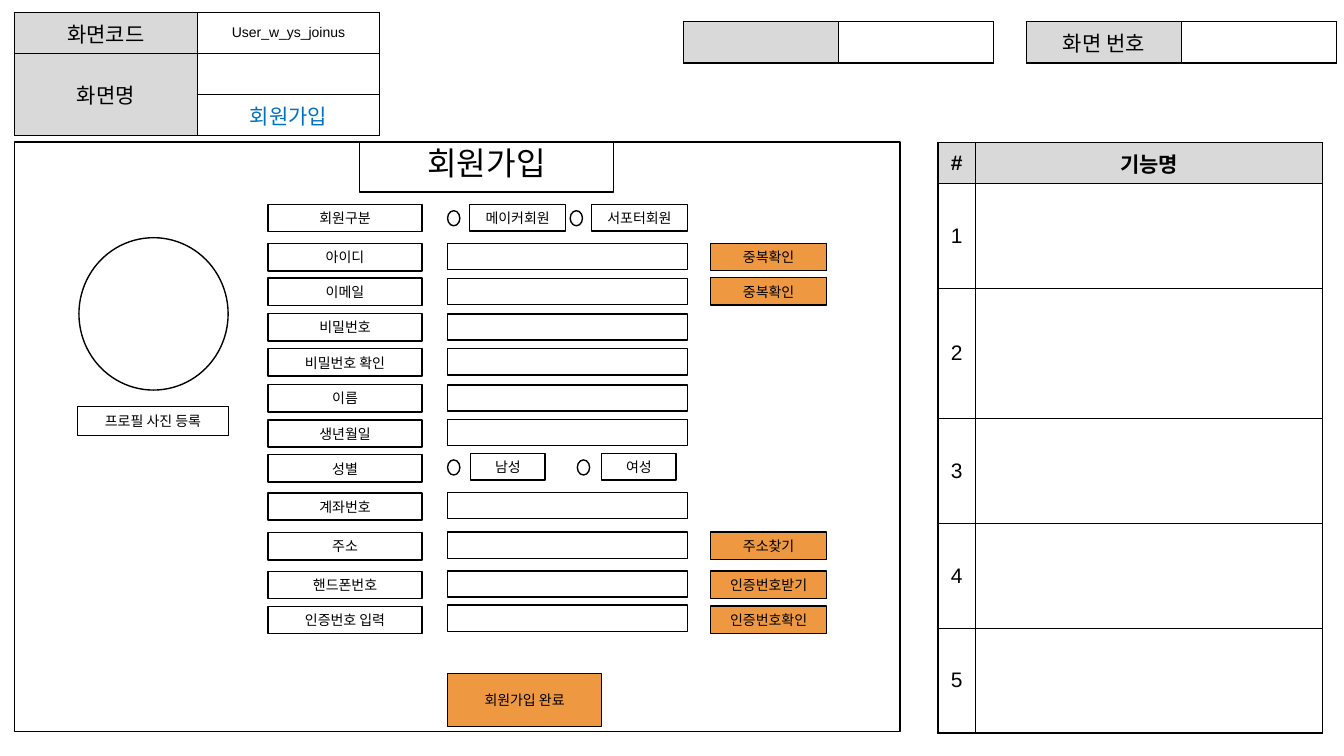
import pptx
import pptx.util
import pptx.dml.color
import pptx.enum.shapes
import pptx.enum.text
import pptx.oxml
import pptx.oxml.ns

Cm = pptx.util.Cm
Pt = pptx.util.Pt
RGB = pptx.dml.color.RGBColor
KIND = pptx.enum.shapes.MSO_SHAPE
MIDDLE = pptx.enum.text.MSO_ANCHOR.MIDDLE
TOP = pptx.enum.text.MSO_ANCHOR.TOP
CENTER = pptx.enum.text.PP_ALIGN.CENTER

BLACK = RGB(0x00, 0x00, 0x00)
WHITE = RGB(0xFF, 0xFF, 0xFF)
GRAY = RGB(0xD9, 0xD9, 0xD9)
BLUE = RGB(0x00, 0x70, 0xC0)
ORANGE = RGB(0xEE, 0x98, 0x42)

LABEL_X, FIELD_X, BUTTON_X = 6.75, 11.28, 17.91
BOX_H = 0.69
FRAME = 8.33

# label, label top, field top (None for a choice row), button text
ROWS = [
    ("회원구분", 5.15, None, ""),
    ("아이디", 6.14, 6.14, "중복확인"),
    ("이메일", 7.01, 7.02, "중복확인"),
    ("비밀번호", 7.9, 7.91, ""),
    ("비밀번호 확인", 8.79, 8.79, ""),
    ("이름", 9.69, 9.7, ""),
    ("생년월일", 10.58, 10.57, ""),
    ("성별", 11.46, None, ""),
    ("계좌번호", 12.42, 12.41, ""),
    ("주소", 13.42, 13.41, "주소찾기"),
    ("핸드폰번호", 14.4, 14.39, "인증번호받기"),
    ("인증번호 입력", 15.28, 15.25, "인증번호확인"),
]

# text, radio left, box left, box top, box width
CHOICES = [
    ("메이커회원", 11.28, 11.84, 5.15, 2.41),
    ("서포터회원", 14.37, 14.91, 5.15, 2.41),
    ("남성", 11.28, 11.86, 11.43, 1.88),
    ("여성", 14.55, 15.16, 11.43, 1.88),
]


def write(frame, text, size, color=BLACK, bold=False):
    """Put one centred line of text in a frame."""
    para = frame.paragraphs[0]
    para.text = text
    para.alignment = CENTER
    for run in para.runs:
        font = run.font
        font.name = "Arial"
        font.size = Pt(size)
        font.bold = bold
        font.color.rgb = color


def add_box(slide, x, y, w, h, text="", fill=WHITE, line=1, size=10,
            kind=KIND.RECTANGLE):
    box = slide.shapes.add_shape(kind, Cm(x), Cm(y), Cm(w), Cm(h))
    box.shadow.inherit = False
    box.fill.solid()
    box.fill.fore_color.rgb = fill
    box.line.color.rgb = BLACK
    box.line.width = Pt(line)
    if text:
        frame = box.text_frame
        frame.word_wrap = True
        frame.vertical_anchor = MIDDLE
        frame.margin_left = frame.margin_right = Cm(0.13)
        frame.margin_top = frame.margin_bottom = 0
        write(frame, text, size)
    return box


def add_edges(cell):
    """Draw a thin black line on all four sides of a cell."""
    props = cell._tc.get_or_add_tcPr()
    space = pptx.oxml.ns.nsdecls("a")
    for side in ("lnL", "lnR", "lnT", "lnB"):
        props.append(pptx.oxml.parse_xml(
            f'<a:{side} {space} w="12700"><a:solidFill>'
            f'<a:srgbClr val="{BLACK}"/></a:solidFill></a:{side}>'))


def add_grid(slide, x, y, widths, heights, texts, gray):
    """Add a table; gray(row, col) tells which cells are shaded.

    Rows lower than their text grow when drawn.
    """
    frame = slide.shapes.add_table(
        len(heights), len(widths), Cm(x), Cm(y), Cm(FRAME), Cm(FRAME))
    table = frame.table
    table.first_row = table.horz_banding = False
    for col, width in zip(table.columns, widths):
        col.width = Cm(width)
    for i, (row, height) in enumerate(zip(table.rows, heights)):
        row.height = Cm(height)
        for j, cell in enumerate(row.cells):
            add_edges(cell)
            cell.fill.solid()
            cell.fill.fore_color.rgb = GRAY if gray(i, j) else WHITE
            cell.vertical_anchor = MIDDLE
            cell.margin_left = cell.margin_right = Cm(0.13)
            cell.margin_top = cell.margin_bottom = Cm(0.13)
            if texts[i][j]:
                write(cell.text_frame, texts[i][j], 15)
    frame.width = frame.height = Cm(FRAME)
    return table


def first_col(row, col):
    return col == 0


def first_row(row, col):
    return row == 0


def add_heads(slide):
    """Add the tables with screen code, name and number."""
    head = add_grid(slide, 0.37, 0.32, [4.6, 4.6], [0.76] * 3,
                    [["화면코드", "User_w_ys_joinus"],
                     ["화면명", ""], ["", "회원가입"]], first_col)
    head.cell(1, 0).merge(head.cell(2, 0))
    code = head.cell(0, 1)
    code.margin_left = code.margin_right = Cm(0.03)
    code.margin_top = code.margin_bottom = Cm(0.03)
    write(code.text_frame, "User_w_ys_joinus", 10)
    write(head.cell(2, 1).text_frame, "회원가입", 15, BLUE)
    add_grid(slide, 25.86, 0.55, [3.91, 3.91], [0.74],
             [["화면 번호", ""]], first_col)
    add_grid(slide, 17.22, 0.55, [3.91, 3.91], [0.74],
             [["", ""]], first_col)


def add_notes(slide):
    """Add the numbered table of functions."""
    texts = [["#", "기능명"]] + [[str(n), ""] for n in range(1, 6)]
    table = add_grid(slide, 23.64, 3.59, [0.94, 8.75],
                     [1.04, 2.64, 3.28, 2.64, 2.64, 2.64], texts, first_row)
    for cell, text in zip(table.rows[0].cells, texts[0]):
        write(cell.text_frame, text, 15, bold=True)


def add_form(slide):
    add_box(slide, 0.36, 3.58, 22.32, 14.86)
    add_box(slide, 1.99, 5.99, 3.76, 3.84, kind=KIND.OVAL)
    add_box(slide, 1.95, 10.24, 3.81, 0.74, "프로필 사진 등록", line=0.75)
    title = add_box(slide, 9.06, 3.58, 6.4, 1.26, "회원가입",
                    line=0.75, size=23)
    title.text_frame.vertical_anchor = TOP
    title.text_frame.margin_top = Cm(0.03)
    for label, top, field, button in ROWS:
        add_box(slide, LABEL_X, top, 3.89, BOX_H, label)
        if field is not None:
            add_box(slide, FIELD_X, field, 6.05, 0.66)
        if button:
            add_box(slide, BUTTON_X, top - 0.01, 2.92, BOX_H, button, ORANGE)
    for text, radio, left, top, width in CHOICES:
        add_box(slide, radio, top + 0.16, 0.31, 0.38, kind=KIND.OVAL)
        add_box(slide, left, top, width, 0.67, text)
    add_box(slide, FIELD_X, 16.97, 3.88, 1.34, "회원가입 완료", ORANGE)


def main():
    deck = pptx.Presentation()
    deck.slide_width = Cm(33.87)
    deck.slide_height = Cm(19.05)
    slide = deck.slides.add_slide(deck.slide_layouts[6])
    add_heads(slide)
    add_notes(slide)
    add_form(slide)
    deck.save("out.pptx")


if __name__ == "__main__":
    main()
